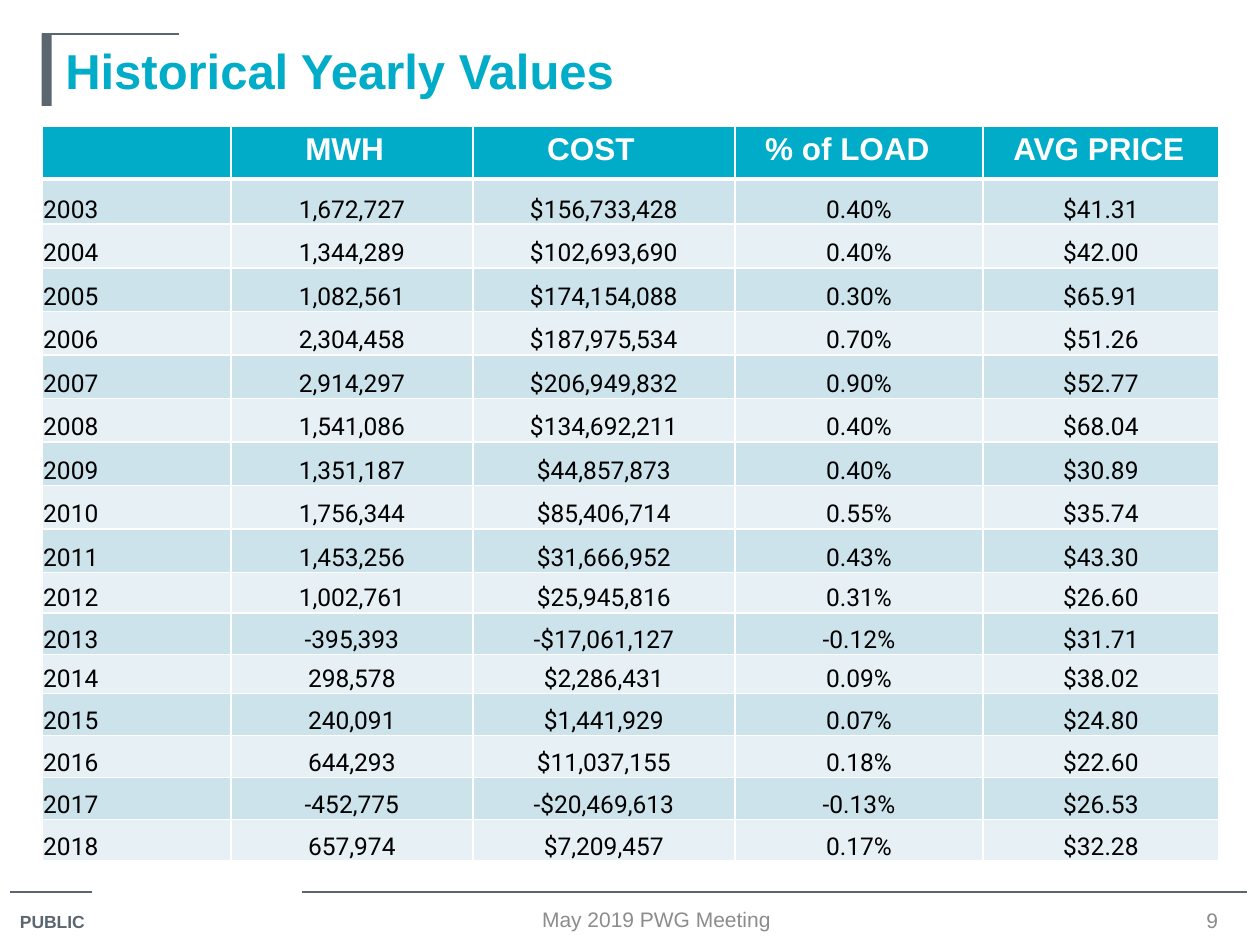
from dataclasses import dataclass

from lxml.etree import SubElement
from pptx import Presentation
from pptx.dml.color import RGBColor
from pptx.enum.shapes import MSO_CONNECTOR, MSO_SHAPE
from pptx.enum.text import MSO_ANCHOR, PP_ALIGN
from pptx.oxml.ns import qn
from pptx.util import Inches, Pt


@dataclass(frozen=True)
class Theme:
    accent: str = "00ACC8"
    slate: str = "5B6770"
    grey: str = "8C8C8C"
    white: str = "FFFFFF"
    black: str = "000000"
    bands: tuple = ("CCE3EB", "E7F1F5")
    heading_font: str = "Arial"
    data_font: str = "Roboto"
    title_size: int = 28
    header_size: int = 18
    data_size: int = 14
    footer_size: int = 12
    label_size: int = 10
    rule_width: float = 0.75
    border_width: int = 1
    header_border: int = 3


THEME = Theme()
GRID = Inches(0.1)
HEADERS = [("", 1), ("MWH", 5.9), ("COST", 5.9), ("% of LOAD", 2.4), ("AVG PRICE", 2.4)]
COLUMN_WIDTHS = [15, 19.2, 20.8, 19.7, 18.7]
ROW_HEIGHTS = [4.2, 3.6] + [3.46] * 8 + [3.2, 3.3, 3.1] + [3.33] * 4
YEARLY_VALUES = [
    ("2003", "1,672,727", "$156,733,428", "0.40%", "$41.31"),
    ("2004", "1,344,289", "$102,693,690", "0.40%", "$42.00"),
    ("2005", "1,082,561", "$174,154,088", "0.30%", "$65.91"),
    ("2006", "2,304,458", "$187,975,534", "0.70%", "$51.26"),
    ("2007", "2,914,297", "$206,949,832", "0.90%", "$52.77"),
    ("2008", "1,541,086", "$134,692,211", "0.40%", "$68.04"),
    ("2009", "1,351,187", "$44,857,873", "0.40%", "$30.89"),
    ("2010", "1,756,344", "$85,406,714", "0.55%", "$35.74"),
    ("2011", "1,453,256", "$31,666,952", "0.43%", "$43.30"),
    ("2012", "1,002,761", "$25,945,816", "0.31%", "$26.60"),
    ("2013", "-395,393", "-$17,061,127", "-0.12%", "$31.71"),
    ("2014", "298,578", "$2,286,431", "0.09%", "$38.02"),
    ("2015", "240,091", "$1,441,929", "0.07%", "$24.80"),
    ("2016", "644,293", "$11,037,155", "0.18%", "$22.60"),
    ("2017", "-452,775", "-$20,469,613", "-0.13%", "$26.53"),
    ("2018", "657,974", "$7,209,457", "0.17%", "$32.28"),
]


def units(*counts):
    return [round(count * GRID) for count in counts]


class SlideBuilder:
    """Draws themed elements on a slide measured as 100 columns by 75 rows."""

    def __init__(self, slide, theme):
        self.slide = slide
        self.theme = theme

    def set_text(self, paragraph, text, size, color, bold=False, font=None, align=PP_ALIGN.LEFT):
        paragraph.text = text
        paragraph.alignment = align
        paragraph.font.name = font or self.theme.heading_font
        paragraph.font.size = Pt(size)
        paragraph.font.bold = bold
        paragraph.font.color.rgb = RGBColor.from_string(color)

    def text(self, column, row, width, height, text, size, color, **style):
        frame = self.slide.shapes.add_textbox(*units(column, row, width, height)).text_frame
        frame.word_wrap = True
        frame.vertical_anchor = MSO_ANCHOR.MIDDLE
        self.set_text(frame.paragraphs[0], text, size, color, **style)

    def rule(self, start, end, row):
        rule = self.slide.shapes.add_connector(
            MSO_CONNECTOR.STRAIGHT, *units(start, row, end, row))
        rule.line.color.rgb = RGBColor.from_string(self.theme.slate)
        rule.line.width = Pt(self.theme.rule_width)
        SubElement(rule._element.spPr, qn("a:effectLst"))

    def bar(self, column, row, width, height):
        bar = self.slide.shapes.add_shape(
            MSO_SHAPE.RECTANGLE, *units(column, row, width, height))
        bar.shadow.inherit = False
        bar.fill.solid()
        bar.fill.fore_color.rgb = RGBColor.from_string(self.theme.slate)
        bar.line.fill.background()

    def paint(self, cell, color, top, bottom):
        properties = cell._tc.get_or_add_tcPr()
        thin = self.theme.border_width
        for side, width in (("L", thin), ("R", thin), ("T", top), ("B", bottom)):
            border = SubElement(properties, qn(f"a:ln{side}"), w=str(Pt(width)))
            SubElement(SubElement(border, qn("a:solidFill")), qn("a:srgbClr"),
                       val=self.theme.white)
        cell.fill.solid()
        cell.fill.fore_color.rgb = RGBColor.from_string(color)

    def table(self, column, row, widths, heights, headers, records):
        theme = self.theme
        table = self.slide.shapes.add_table(
            len(heights), len(widths),
            *units(column, row, sum(widths), sum(heights))).table
        for table_column, width in zip(table.columns, units(*widths)):
            table_column.width = width
        for table_row, height in zip(table.rows, units(*heights)):
            table_row.height = height
        for index, (label, indent) in enumerate(headers):
            cell = table.cell(0, index)
            cell.margin_left = units(indent)[0]
            self.paint(cell, theme.accent, theme.border_width, theme.header_border)
            self.set_text(cell.text_frame.paragraphs[0], label, theme.header_size,
                          theme.white, bold=True)
        for line, record in enumerate(records, 1):
            for index, value in enumerate(record):
                cell = table.cell(line, index)
                cell.vertical_anchor = MSO_ANCHOR.BOTTOM
                cell.margin_left = cell.margin_right = cell.margin_top = Inches(0.01)
                cell.margin_bottom = 0
                top = theme.header_border if line == 1 else theme.border_width
                self.paint(cell, theme.bands[(line - 1) % 2], top, theme.border_width)
                self.set_text(cell.text_frame.paragraphs[0], value, theme.data_size,
                              theme.black, font=theme.data_font,
                              align=PP_ALIGN.CENTER if index else PP_ALIGN.LEFT)


def main():
    presentation = Presentation()
    presentation.slide_width, presentation.slide_height = units(100, 75)
    slide = presentation.slides.add_slide(presentation.slide_layouts[6])
    builder = SlideBuilder(slide, THEME)

    builder.rule(0.8, 7.3, 70.8)
    builder.rule(24, 99, 70.8)
    builder.text(0.6, 71.7, 7.7, 2.8, "PUBLIC", THEME.label_size, THEME.slate, bold=True)
    builder.bar(3.3, 2.7, 0.8, 5.7)
    builder.rule(3.3, 14.2, 2.7)
    builder.text(4.2, 2.7, 92.5, 5.7, "Historical Yearly Values",
                 THEME.title_size, THEME.accent, bold=True)
    builder.table(3.33, 10, COLUMN_WIDTHS, ROW_HEIGHTS, HEADERS, YEARLY_VALUES)
    builder.text(30, 71.7, 44.2, 2.5, "May 2019 PWG Meeting",
                 THEME.footer_size, THEME.grey, align=PP_ALIGN.CENTER)
    builder.text(93.3, 71.8, 5.8, 2.4, "9",
                 THEME.footer_size, THEME.grey, align=PP_ALIGN.CENTER)
    presentation.save("out.pptx")


if __name__ == "__main__":
    main()
